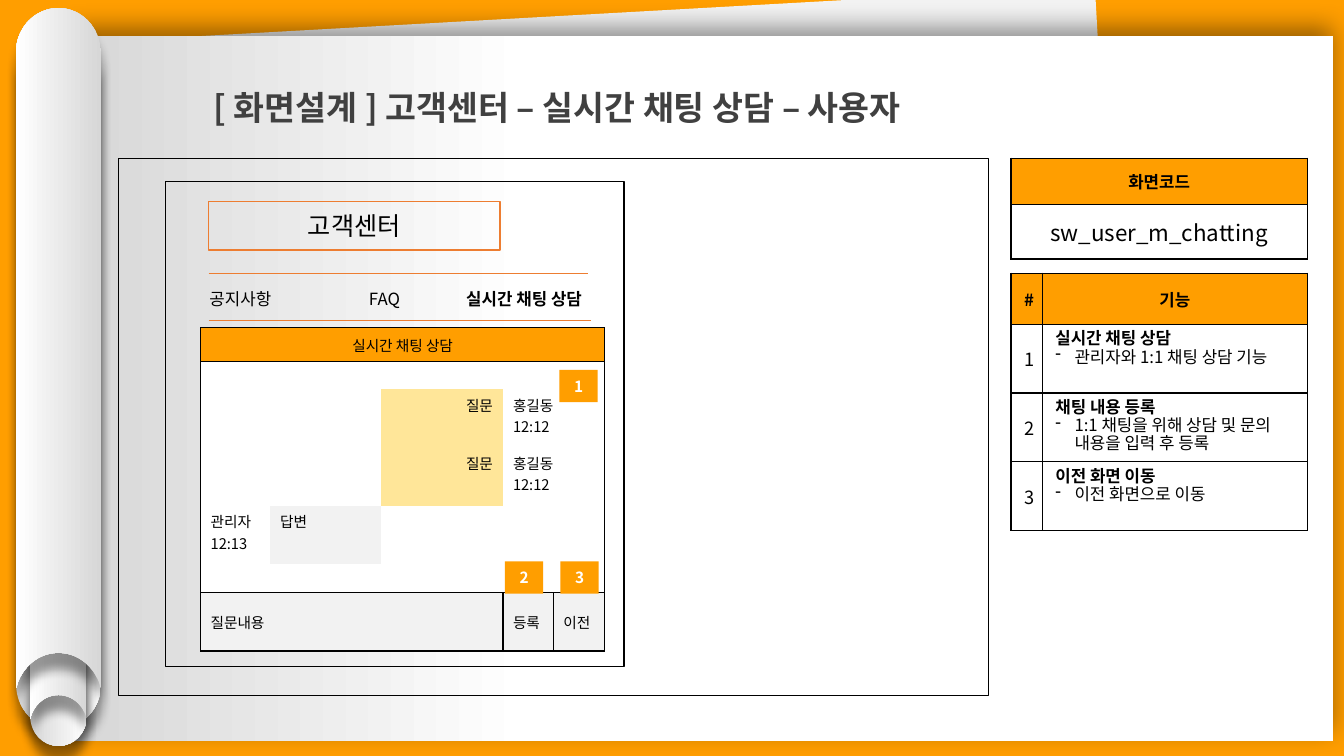
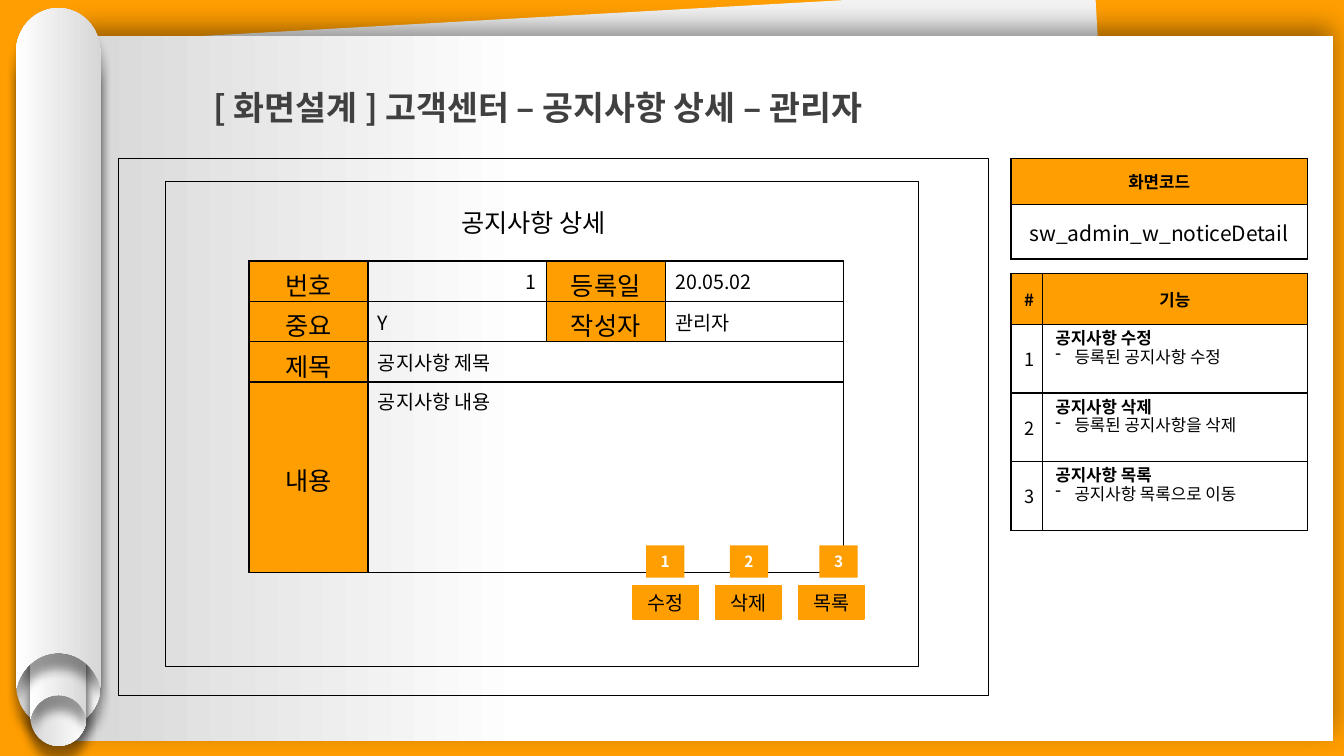
from lxml import etree
from pptx import Presentation
from pptx.dml.color import RGBColor
from pptx.enum.shapes import MSO_CONNECTOR, MSO_SHAPE
from pptx.enum.text import MSO_ANCHOR, PP_ALIGN
from pptx.oxml.ns import qn
from pptx.util import Inches, Pt

RECT = MSO_SHAPE.RECTANGLE
LINE = MSO_CONNECTOR.STRAIGHT
TOP, MID = MSO_ANCHOR.TOP, MSO_ANCHOR.MIDDLE
LEFT, CENTER, RIGHT = PP_ALIGN.LEFT, PP_ALIGN.CENTER, PP_ALIGN.RIGHT
FONT = "Noto Sans CJK KR"
PLAIN = "{2D5ABB26-0587-4C30-8999-92F81FD0307C}"
INK = {
    "black": "000000", "white": "FFFFFF", "orange": "FF9E00", "rust": "ED7D31",
    "dark": "404040", "pale": "F2F2F2", "gray": "D7D7D7", "yellow": "FFE699",
}
WIDE = (0.13, 0.07, 0.13, 0.07)
TIGHT = (0.1, 0.05, 0.1, 0)
HEAD = (0.1, 0.11, 0.1, 0.05)


def color(name):
    return RGBColor.from_string(INK[name])


def style(target, **values):
    for key, value in values.items():
        setattr(target, key, value)


def add(parent, tag, **values):
    return etree.SubElement(parent, qn(tag), **values)


class Deck:
    def __init__(self):
        self.file = Presentation()
        style(self.file, slide_width=Inches(40 / 3), slide_height=Inches(7.5))
        self.slide = None

    @property
    def shapes(self):
        return self.slide.shapes

    def put(self, host, lines, size=12, bold=False, ink="black", align=CENTER,
            anchor=MID, space=None, inset=None, item=False):
        frame = getattr(host, "text_frame", host)
        style(frame, word_wrap=True)
        style(host, vertical_anchor=anchor)
        if inset:
            sides = ("left", "top", "right", "bottom")
            style(host, **{f"margin_{s}": Inches(v) for s, v in zip(sides, inset)})
        for at, line in enumerate(lines):
            para = frame.add_paragraph() if at else frame.paragraphs[0]
            style(para, alignment=align, line_spacing=space)
            if item and at:
                props = para._p.get_or_add_pPr()
                props.set("marL", str(Inches(0.19)))
                props.set("indent", str(-Inches(0.19)))
                add(props, "a:buFontTx")
                add(props, "a:buChar", char="-")
            run = para.add_run()
            run.text = line
            run.font.color.rgb = color(ink)
            style(run.font, size=Pt(size), name=FONT, bold=not at if item else bold)
        if not lines:
            add(frame.paragraphs[0]._p, "a:endParaRPr", sz="800")

    def paint(self, shape, fill=None, line=None, width=1):
        shape.shadow.inherit = False
        if fill:
            shape.fill.solid()
            shape.fill.fore_color.rgb = color(fill)
        else:
            shape.fill.background()
        if line:
            shape.line.color.rgb = color(line)
            shape.line.width = Pt(width)
        else:
            shape.line.fill.background()

    def fade(self, shape, stops):
        shape.fill.gradient()
        shape.fill.gradient_angle = 180
        for stop, (place, ink) in zip(shape.fill.gradient_stops, stops):
            stop.position = place
            stop.color.rgb = color(ink)

    def shade(self, shape, blur, far, angle):
        effect = shape._element.spPr.find(qn("a:effectLst"))
        outer = add(effect, "a:outerShdw", blurRad=str(Pt(blur)), dist=str(Pt(far)),
                    dir=str(angle * 60000), algn="ctr", rotWithShape="0")
        add(add(outer, "a:srgbClr", val=INK["black"]), "a:alpha", val="40000")

    def box(self, at, lines=(), fill=None, line=None, width=1, **text):
        shape = self.shapes.add_shape(RECT, *map(Inches, at))
        self.paint(shape, fill, line, width)
        if lines:
            self.put(shape.text_frame, lines, **text)
        return shape

    def text(self, at, line, **text):
        shape = self.shapes.add_textbox(*map(Inches, at))
        self.put(shape.text_frame, [line], **text)

    def rule(self, left, right, top):
        line = self.shapes.add_connector(LINE, *map(Inches, (left, top, right, top)))
        line.line.color.rgb = color("rust")
        line.line.width = Pt(0.5)
        add(line._element.spPr, "a:effectLst")

    def roll(self, group, left, top, wide, high, turn=0):
        half, cap, notch = wide / 2, wide * 0.52, wide * 0.42
        lip = high - notch * 0.2
        side = [(1, cap), (1, high), (0.95, lip)]
        arc = [(0.78, high - notch * 0.68), (0.43, high - notch)]
        curl = [(0.55, 0), (1, cap * 0.45)]
        spots = [(0, 0), *curl, *side, *arc, (0, high - notch)]
        spots += [(-x, y) for x, y in reversed(spots[:-1])]
        spots = [(Inches(left + half + half * x), Inches(top + y)) for x, y in spots]
        pen = group.shapes.build_freeform(*spots[0], scale=1.0)
        pen.add_line_segments(spots[1:], close=True)
        shape = pen.convert_to_shape()
        steps = list(shape._element.iter(qn("a:lnTo")))
        for first in (0, 5, 8, 13):
            curve = etree.Element(qn("a:cubicBezTo"))
            steps[first].addprevious(curve)
            for step in steps[first:first + 3]:
                curve.append(step[0])
                step.getparent().remove(step)
        self.paint(shape)
        self.fade(shape, [(0, "gray"), (1, "white")])
        self.shade(shape, 7, 11, 90)
        shape.rotation = turn

    def edge(self, cell, sides):
        props = cell._tc.get_or_add_tcPr()
        for side in "LRTB":
            shown = side in sides
            line = add(props, f"a:ln{side}", w=str(Pt(1) if shown else 0))
            if shown:
                add(add(line, "a:solidFill"), "a:srgbClr", val=INK["black"])
            else:
                add(line, "a:noFill")

    def grid(self, at, cols, rows, cells):
        size = (*at, sum(cols), sum(rows))
        table = self.shapes.add_table(len(rows), len(cols), *map(Inches, size)).table
        style(table, first_row=False, horz_banding=False)
        table._tbl.tblPr.find(qn("a:tableStyleId")).text = PLAIN
        for col, width in zip(table.columns, cols):
            col.width = Inches(width)
        for row, height in zip(table.rows, rows):
            row.height = Inches(height)
        for row, col, span, lines, fill, sides, text in cells:
            group = [table.cell(row, col + step) for step in range(span)]
            for cell in group:
                self.edge(cell, sides)
            first = group[0]
            if span > 1:
                first.merge(group[-1])
            if fill:
                first.fill.solid()
                first.fill.fore_color.rgb = color(fill)
            else:
                first.fill.background()
            self.put(first, lines, **text)

    def code(self, name, size):
        self.grid((10.03, 1.57), [2.94], [0.46, 0.54], [
            (0, 0, 1, ["화면코드"], "orange", "LRTB", dict(bold=True, inset=WIDE)),
            (1, 0, 1, [name], None, "LRTB", dict(size=size, inset=WIDE)),
        ])

    def tasks(self, items):
        cells = [(0, col, 1, [word], "orange", "LRTB", dict(bold=True, inset=WIDE))
                 for col, word in enumerate(["#", "기능"])]
        for row, item in enumerate(items, 1):
            cells += [
                (row, 0, 1, [str(row)], None, "LRTB", dict(size=13, inset=WIDE)),
                (row, 1, 1, item, None, "LRTB",
                 dict(align=LEFT, anchor=TOP, space=Pt(13), inset=WIDE, item=True)),
            ]
        self.grid((10.03, 2.71), [0.31, 2.63], [0.51] + [0.68] * 3, cells)

    def tags(self, spots):
        for mark, (left, top) in enumerate(spots, 1):
            self.box((left, top, 0.38, 0.32), [str(mark)], "orange",
                     size=11, bold=True, ink="white")

    def page(self, title, name, size, items, width):
        self.slide = self.file.slides.add_slide(self.file.slide_layouts[6])
        back = self.slide.background.fill
        back.solid()
        back.fore_color.rgb = color("orange")
        self.box((0.91, 0.14, 10.15, 6.8), fill="pale").rotation = 356.8
        paper = self.box((0.73, 0.36, 12.5, 6.99))
        self.fade(paper, [(0.64, "white"), (1, "gray")])
        self.shade(paper, 18, 6, 270)
        group = self.shapes.add_group_shape()
        self.roll(group, 0.16, 0.48, 0.84, 6.75, 180)
        self.roll(group, 0.3, 2.88, 0.56, 4.52, 180)
        self.roll(group, 0.3, 2.61, 0.56, 4.52)
        self.roll(group, 0.16, 0.08, 0.84, 6.75)
        self.text((2.02, 0.61, 9.61, 0.66), f"[ 화면설계 ] 고객센터 – {title}", size=24,
                  bold=True, ink="dark", align=LEFT, anchor=TOP, space=1.5)
        self.box((1.18, 1.57, 8.63, 5.33), line="black", width=0.75)
        self.box((1.64, 1.8, width, 4.81), line="black")
        self.code(name, size)
        self.tasks(items)


def chat(deck):
    deck.page("실시간 채팅 상담 – 사용자", "sw_user_m_chatting", 16, [
        ["실시간 채팅 상담", "관리자와 1:1 채팅 상담 기능"],
        ["채팅 내용 등록", "1:1 채팅을 위해 상담 및 문의 내용을 입력 후 등록"],
        ["이전 화면 이동", "이전 화면으로 이동"],
    ], 4.55)
    deck.box((2.07, 2, 2.89, 0.48), ["고객센터"], line="rust", size=18)
    for left, width, word, bold in [(1.93, 0.91, "공지사항", False),
                                    (3.55, 0.53, "FAQ", False),
                                    (4.4, 1.6, "실시간 채팅 상담", True)]:
        deck.text((left, 2.68, width, 0.57), word, bold=bold)
    deck.rule(2.07, 5.86, 3.18)
    deck.rule(2.07, 5.83, 2.71)
    mid = dict(size=10.5)
    start = dict(size=10.5, align=LEFT)
    high = dict(start, anchor=TOP)
    end = dict(high, align=RIGHT)
    cells = [
        (0, 0, 5, ["실시간 채팅 상담"], "orange", "LRTB", mid),
        (1, 0, 5, [], "white", "LRT", mid),
        (4, 0, 1, ["관리자", "12:13"], "white", "L", high),
        (4, 1, 1, ["답변"], "pale", "", high),
        (4, 2, 1, [], "white", "", mid),
        (4, 3, 2, [], "white", "R", mid),
        (5, 0, 1, [], "white", "LB", mid),
        (5, 1, 1, [], "white", "B", mid),
        (5, 2, 1, [], "white", "B", mid),
        (5, 3, 2, [], "white", "RB", mid),
        (6, 0, 3, ["질문내용"], "pale", "LRTB", start),
        (6, 3, 1, ["등록"], "pale", "LRTB", start),
        (6, 4, 1, ["이전"], "pale", "LRTB", start),
    ]
    for row in (2, 3):
        cells += [
            (row, 0, 1, [], "white", "L", mid),
            (row, 1, 1, [], "white", "", mid),
            (row, 2, 1, ["질문"], "yellow", "", end),
            (row, 3, 2, ["홍길동", "12:12"], "white", "R", high),
        ]
    deck.grid((1.99, 3.25), [0.69, 1.1, 1.21, 0.5, 0.51],
              [0.34, 0.27, 0.58, 0.58, 0.58, 0.28, 0.58], cells)
    deck.tags([(5.55, 3.67), (5.01, 5.57), (5.56, 5.57)])


def notice(deck):
    deck.page("공지사항 상세 – 관리자", "sw_admin_w_noticeDetail", 15, [
        ["공지사항 수정", "등록된 공지사항 수정"],
        ["공지사항 삭제", "등록된 공지사항을 삭제"],
        ["공지사항 목록", "공지사항 목록으로 이동"],
    ], 7.47)
    deck.text((1.92, 1.95, 6.75, 4.17), "공지사항 상세", size=18, anchor=TOP, inset=HEAD)
    heads = [(0, 0, "번호"), (0, 2, "등록일"), (1, 0, "중요"), (1, 2, "작성자"),
             (2, 0, "제목"), (3, 0, "내용")]
    facts = [(0, 1, 1, "1", RIGHT, MID), (0, 3, 1, "20.05.02", LEFT, MID),
             (1, 1, 1, "Y", LEFT, MID), (1, 3, 1, "관리자", LEFT, MID),
             (2, 1, 3, "공지사항 제목", LEFT, MID), (3, 1, 3, "공지사항 내용", LEFT, TOP)]
    cells = [(row, col, 1, [word], "orange", "LRTB", dict(size=18, inset=TIGHT))
             for row, col, word in heads]
    cells += [(row, col, span, [word], None, "LRTB",
               dict(size=14, align=align, anchor=anchor))
              for row, col, span, word, align, anchor in facts]
    deck.grid((2.47, 2.59), [1.18, 1.77] * 2, [0.4, 0.4, 0.4, 1.89], cells)
    for step, word in enumerate(["수정", "삭제", "목록"]):
        deck.box((6.28 + 0.82 * step, 5.81, 0.65, 0.33), [word], "orange", "orange",
                 size=14)
    deck.tags([(6.41, 5.41), (7.24, 5.41), (8.13, 5.41)])


def main():
    deck = Deck()
    chat(deck)
    notice(deck)
    deck.file.save("out.pptx")


if __name__ == "__main__":
    main()
